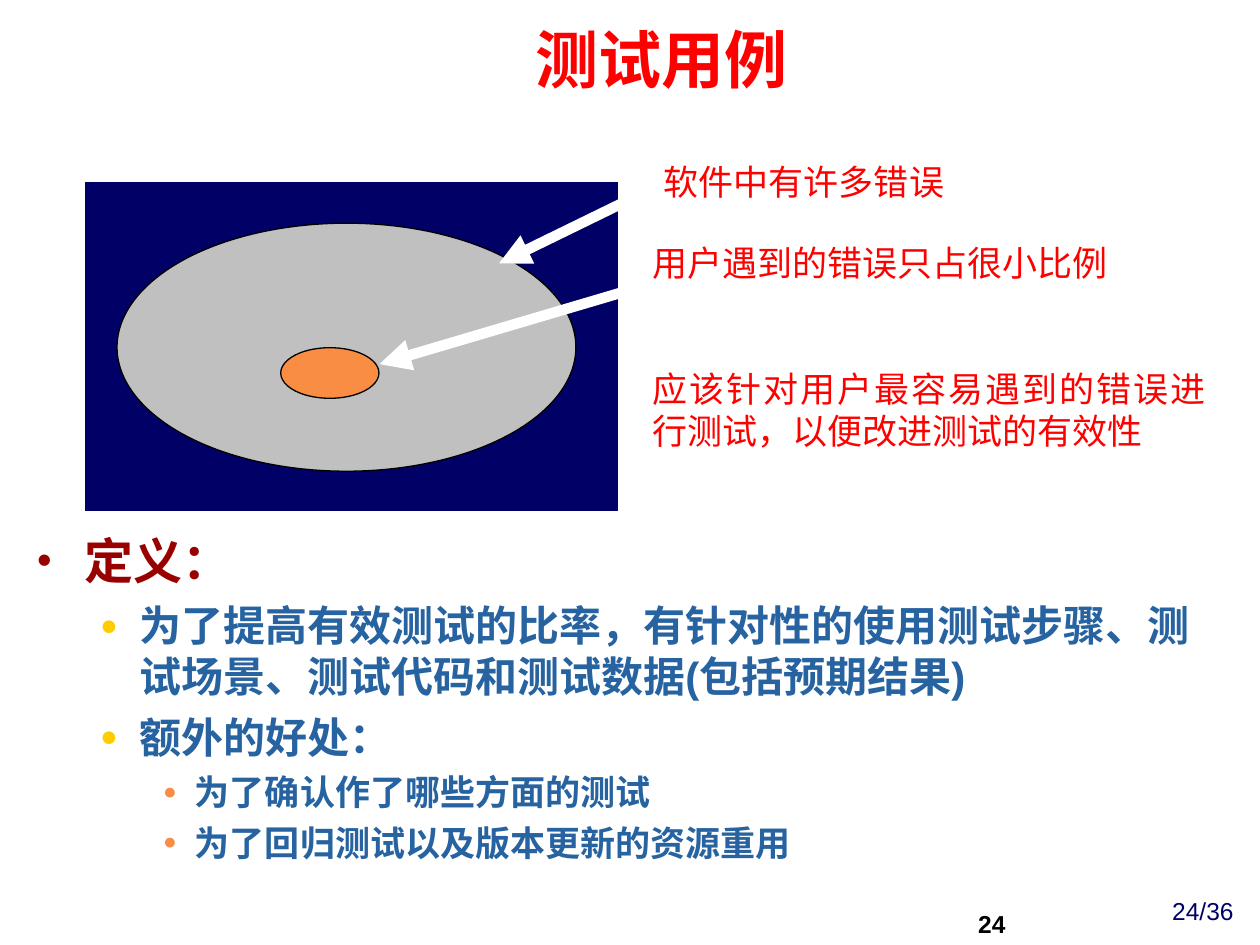
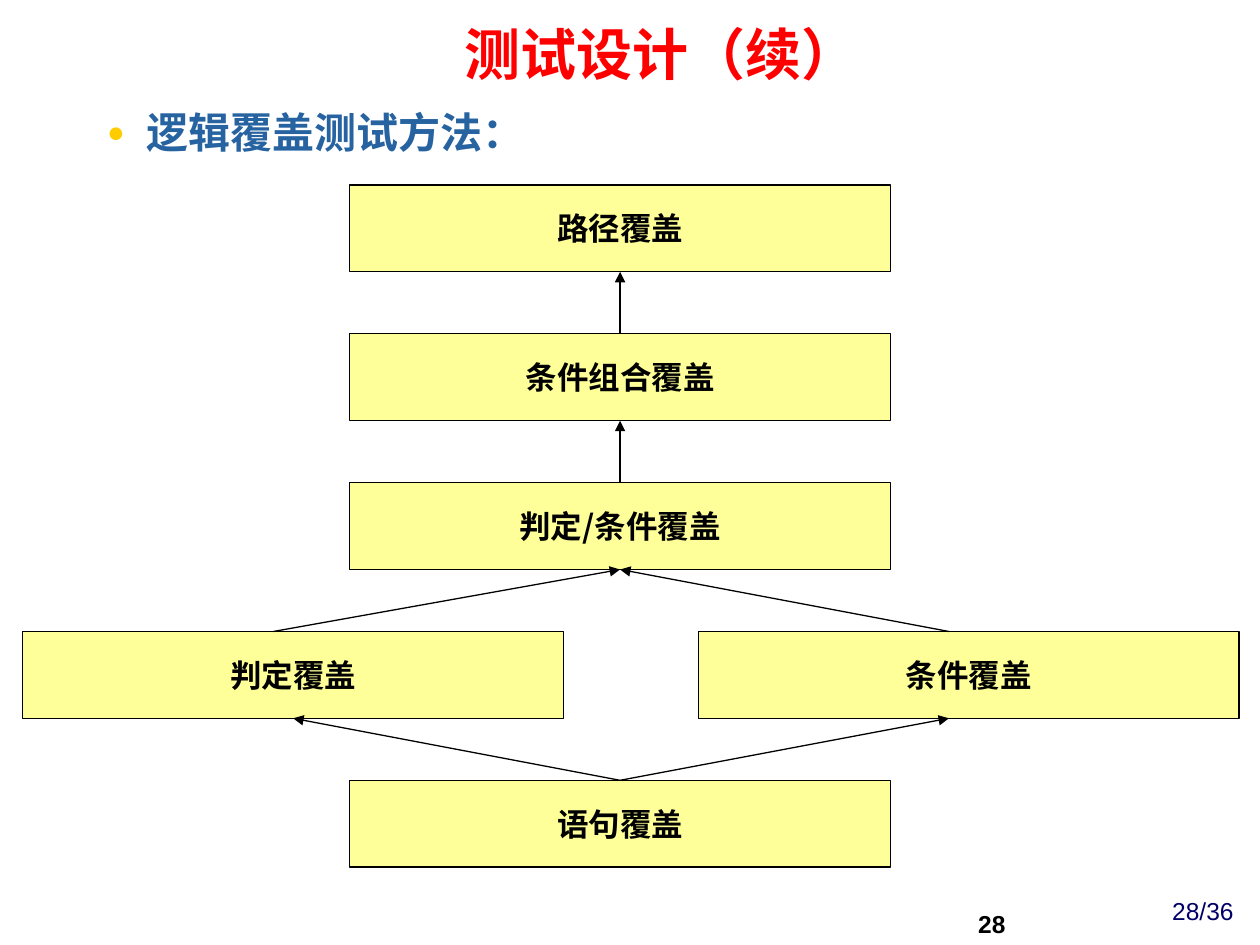
from pptx import Presentation
from pptx.dml.color import RGBColor
from pptx.enum.shapes import MSO_CONNECTOR, MSO_SHAPE
from pptx.enum.text import MSO_ANCHOR, PP_ALIGN
from pptx.oxml.ns import qn
from pptx.util import Cm, Pt
from lxml.etree import SubElement

RED = RGBColor(0xFF, 0x00, 0x00)
NAVY = RGBColor(0x00, 0x00, 0x66)
BLACK = RGBColor(0x00, 0x00, 0x00)
WHITE = RGBColor(0xFF, 0xFF, 0xFF)
GRAY = RGBColor(0xC0, 0xC0, 0xC0)
ORANGE = RGBColor(0xF9, 0x8D, 0x43)
MAROON = RGBColor(0x99, 0x00, 0x00)
GOLD = RGBColor(0xFF, 0xCC, 0x00)
BLUE = RGBColor(0x26, 0x63, 0xA0)
YELLOW = RGBColor(0xFF, 0xFF, 0x99)

NOTO = "Noto Sans CJK SC"
TOTAL_PAGES = 36

# Outline levels: size, colour, space before, indent, hanging, bullet, bullet colour, bullet %
LEVELS = [
    (28, MAROON, 7, 0.95, 0.95, "•", MAROON, 85),
    (24, BLUE, 6, 2.06, 0.79, "●", GOLD, 70),
    (20, BLUE, 5, 3.18, 0.64, "●", ORANGE, 65),
]

# Test case slide
DEFINITION = [
    (0, "定义："),
    (1, "为了提高有效测试的比率，有针对性的使用测试步骤、测试场景、测试代码和测试数据(包括预期结果)"),
    (1, "额外的好处："),
    (2, "为了确认作了哪些方面的测试"),
    (2, "为了回归测试以及版本更新的资源重用"),
]
ERROR_AREAS = [
    (MSO_SHAPE.RECTANGLE, (1.7, 3.66, 10.77, 6.65), NAVY, WHITE),
    (MSO_SHAPE.OVAL, (2.36, 4.5, 9.25, 5), GRAY, BLACK),
    (MSO_SHAPE.OVAL, (5.66, 7.01, 1.98, 1.02), ORANGE, BLACK),
]
ERROR_NOTES = [
    ("软件中有许多错误", (13.13, 3.12, 11, 0.94)),
    ("用户遇到的错误只占很小比例", (12.9, 4.75, 11.2, 2.03)),
    ("应该针对用户最容易遇到的错误进行测试，以便改进测试的有效性", (12.9, 7.29, 11.66, 2.77)),
]
ERROR_ARROWS = [((13.13, 3.81), (10.06, 5.31)), ((13.13, 5.72), (7.65, 7.34))]

# Coverage slide: name -> (left, row)
BOX_WIDTH, BOX_HEIGHT = 10.9, 1.75
FIRST_ROW, ROW_STEP = 3.73, 3
LEFT, MIDDLE, RIGHT = 0.46, 7.05, 14.08
COVERAGES = {
    "语句覆盖": (MIDDLE, 4),
    "判定覆盖": (LEFT, 3),
    "条件覆盖": (RIGHT, 3),
    "判定/条件覆盖": (MIDDLE, 2),
    "条件组合覆盖": (MIDDLE, 1),
    "路径覆盖": (MIDDLE, 0),
}
# Lower box, upper box, shift of the start and of the end from the side's middle
COVERAGE_ARROWS = [
    ("语句覆盖", "条件覆盖", 0, -0.4),
    ("语句覆盖", "判定覆盖", 0, 0),
    ("判定覆盖", "判定/条件覆盖", -0.4, 0),
    ("条件覆盖", "判定/条件覆盖", -0.4, 0),
    ("判定/条件覆盖", "条件组合覆盖", 0, 0),
    ("条件组合覆盖", "路径覆盖", 0, 0),
]


def add_run(paragraph, text, size, color, font, bold=False, asian_font=None):
    run = paragraph.add_run()
    run.text = text
    run.font.size = Pt(size)
    run.font.bold = bold
    run.font.color.rgb = color
    run.font.name = font
    SubElement(run.font._element, qn("a:ea"), typeface=asian_font or font)


def add_text_box(slide, box, anchor=MSO_ANCHOR.TOP):
    frame = slide.shapes.add_textbox(*map(Cm, box)).text_frame
    frame.word_wrap = True
    frame.vertical_anchor = anchor
    return frame


def add_label(slide, box, text, align, size, color, font, bold=False, anchor=MSO_ANCHOR.TOP):
    paragraph = add_text_box(slide, box, anchor).paragraphs[0]
    paragraph.alignment = align
    add_run(paragraph, text, size, color, font, bold)


def add_outline(slide, box, items):
    frame = add_text_box(slide, box)
    for index, (level, text) in enumerate(items):
        paragraph = frame.add_paragraph() if index else frame.paragraphs[0]
        size, color, before, indent, hanging, bullet, bullet_color, percent = LEVELS[level]
        paragraph.level = level
        paragraph.space_before = Pt(before if index else 0)
        properties = paragraph._p.get_or_add_pPr()
        properties.set("marL", str(Cm(indent)))
        properties.set("indent", str(-Cm(hanging)))
        fill = SubElement(properties, qn("a:buClr"))
        SubElement(fill, qn("a:srgbClr"), val=str(bullet_color))
        SubElement(properties, qn("a:buSzPct"), val=str(percent * 1000))
        SubElement(properties, qn("a:buFont"), typeface="Arial")
        SubElement(properties, qn("a:buChar"), char=bullet)
        add_run(paragraph, text, size, color, "Arial", True, "Montserrat")


def add_area(slide, kind, box, fill, line):
    shape = slide.shapes.add_shape(kind, *map(Cm, box))
    shape.shadow.inherit = False
    shape.fill.solid()
    shape.fill.fore_color.rgb = fill
    shape.line.color.rgb = line
    shape.line.width = Pt(0.75)
    return shape


def add_arrow(slide, start, end, color, width):
    connector = slide.shapes.add_connector(MSO_CONNECTOR.STRAIGHT, *map(Cm, start + end))
    connector.line.color.rgb = color
    connector.line.width = Pt(width)
    SubElement(connector.line._get_or_add_ln(), qn("a:tailEnd"), type="triangle")
    SubElement(connector._element.spPr, qn("a:effectLst"))
    return connector


def add_slide(presentation, page, title, title_size, title_font, title_height):
    slide = presentation.slides.add_slide(presentation.slide_layouts[6])
    add_label(slide, (23.11, 17.93, 2.01, 0.81), f"{page}/{TOTAL_PAGES}",
              PP_ALIGN.RIGHT, 14, NAVY, "Arial")
    add_label(slide, (15.24, 17.78, 5.28, 1.27), str(page),
              PP_ALIGN.RIGHT, 14, BLACK, "Arial", True, MSO_ANCHOR.BOTTOM)
    add_label(slide, (1.9, 0.28, 22.86, title_height), title,
              PP_ALIGN.CENTER, title_size, RED, title_font, True, MSO_ANCHOR.MIDDLE)
    return slide


def build_test_case_slide(presentation):
    slide = add_slide(presentation, 24, "测试用例", 36, "Montserrat", 1.78)
    add_outline(slide, (0.5, 10.57, 24.46, 8.1), DEFINITION)
    for area in ERROR_AREAS:
        add_area(slide, *area)
    for text, box in ERROR_NOTES:
        add_label(slide, box, text, PP_ALIGN.JUSTIFY, 20, RED, "Cabin")
    for start, end in ERROR_ARROWS:
        add_arrow(slide, start, end, WHITE, 6)


def build_coverage_slide(presentation):
    slide = add_slide(presentation, 28, "测试设计（续）", 32, NOTO, 1.6)
    add_outline(slide, (0.64, 2.03, 24.05, 1.5), [(1, "逻辑覆盖测试方法：")])

    # Boxes on a row grid
    boxes = {}
    for name, (left, row) in COVERAGES.items():
        top = FIRST_ROW + row * ROW_STEP
        shape = add_area(slide, MSO_SHAPE.RECTANGLE, (left, top, BOX_WIDTH, BOX_HEIGHT), YELLOW, BLACK)
        shape.text_frame.word_wrap = False
        shape.text_frame.vertical_anchor = MSO_ANCHOR.MIDDLE
        paragraph = shape.text_frame.paragraphs[0]
        paragraph.alignment = PP_ALIGN.CENTER
        add_run(paragraph, name, 18, BLACK, NOTO, True)
        boxes[name] = shape

    # Arrows from weaker to stronger coverage
    for lower, upper, start_shift, end_shift in COVERAGE_ARROWS:
        (lower_left, lower_row), (upper_left, upper_row) = COVERAGES[lower], COVERAGES[upper]
        start = (lower_left + BOX_WIDTH / 2 + start_shift, FIRST_ROW + lower_row * ROW_STEP)
        end = (upper_left + BOX_WIDTH / 2 + end_shift, FIRST_ROW + upper_row * ROW_STEP + BOX_HEIGHT)
        connector = add_arrow(slide, start, end, BLACK, 0.75)
        if not start_shift:
            connector.begin_connect(boxes[lower], 0)
        if not end_shift:
            connector.end_connect(boxes[upper], 2)


def main():
    presentation = Presentation()
    presentation.slide_width = Cm(25.4)
    presentation.slide_height = Cm(19.05)
    build_test_case_slide(presentation)
    build_coverage_slide(presentation)
    presentation.save("out.pptx")


if __name__ == "__main__":
    main()
